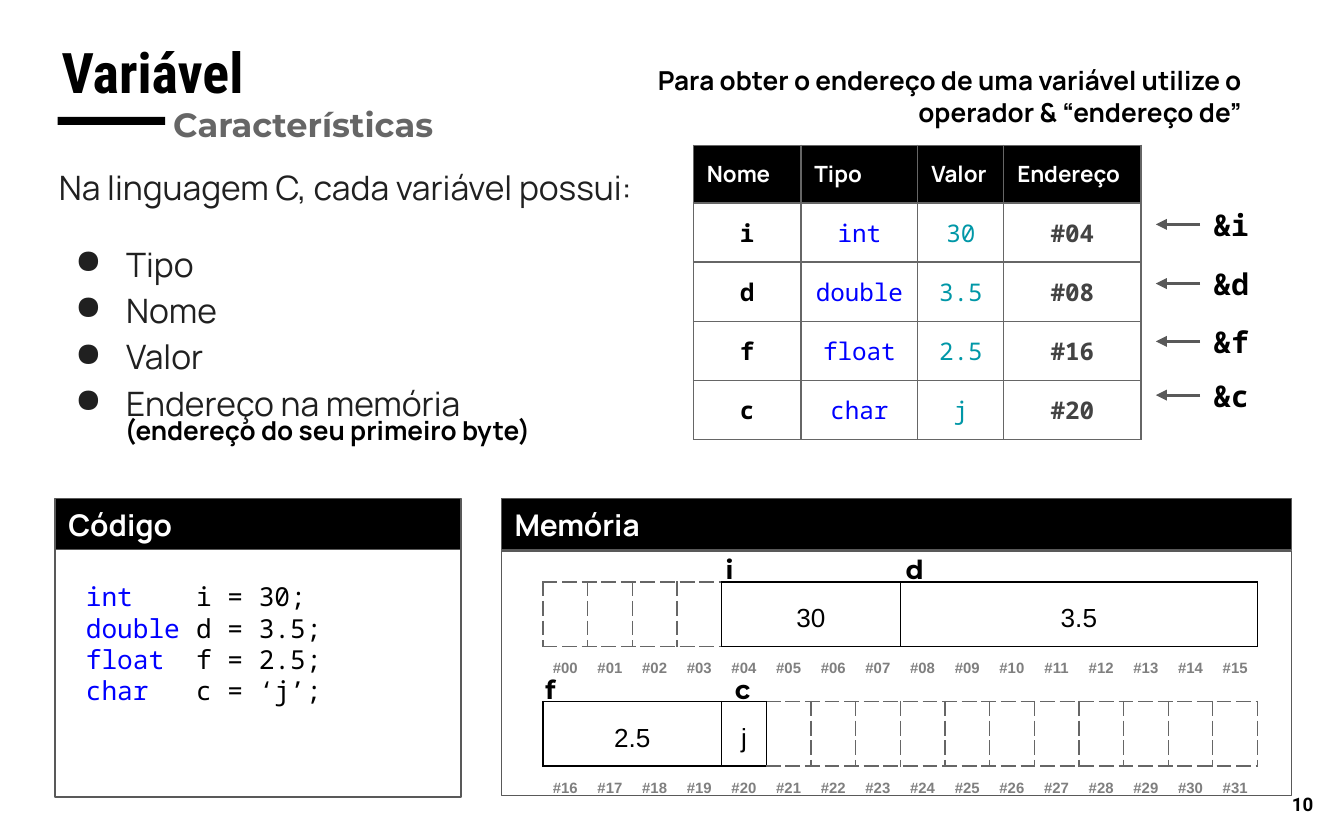
import pptx
import pptx.util
import pptx.dml.color
import pptx.enum.text
import pptx.enum.shapes
import pptx.oxml
from lxml import etree
from pptx.util import Inches, Pt

theme = {
    "black": "000000", "white": "FFFFFF", "body": "202020", "sub": "666666",
    "line": "595959", "grid": "666666", "type": "0000FF", "value": "0097A7",
    "addr": "434343", "label": "7F7F7F",
    "title": 30, "text": 18, "head": 16, "note": 14, "cell": 13, "col": 12,
    "page": 10, "tiny": 8,
    "sans": "Manrope", "mono": "Noto Sans Mono", "mark": "Montserrat",
}
NS = "http://schemas.openxmlformats.org/drawingml/2006/main"
align = pptx.enum.text.PP_ALIGN
anchor = pptx.enum.text.MSO_ANCHOR
shapes = pptx.enum.shapes
rgb = pptx.dml.color.RGBColor.from_string


def write(item, text, size, font, color="black", bold=False, side=align.LEFT,
          inset=0.1, mid=False):
    """Fill a shape or a cell with evenly styled text."""
    frame = item.text_frame
    frame.text = text
    if hasattr(item, "margin_left"):
        box = item
    else:
        box = frame
        frame.word_wrap = True
    box.margin_left = box.margin_right = Inches(inset)
    box.margin_top = box.margin_bottom = Inches(0.1)
    box.vertical_anchor = anchor.MIDDLE if mid else anchor.TOP
    for para in frame.paragraphs:
        para.alignment = side
        for run in para.runs:
            run.font.size = Pt(theme[size])
            run.font.name = theme.get(font, font)
            run.font.bold = bold
            run.font.color.rgb = rgb(theme[color])
    return frame


def border(cell, **sides):
    """Draw cell edges; each side gives a colour and a dash name."""
    props = cell.fill and cell.text_frame and cell._tc.get_or_add_tcPr()
    for side in "LRTB":
        if side in sides:
            color, dash = sides[side]
            props.append(pptx.oxml.parse_xml(
                f'<a:ln{side} xmlns:a="{NS}" w="9525"><a:solidFill>'
                f'<a:srgbClr val="{theme[color]}"/></a:solidFill>'
                f'<a:prstDash val="{dash}"/></a:ln{side}>'))


deck = pptx.Presentation()
deck.slide_width, deck.slide_height = Inches(10), Inches(6.25)
slide = deck.slides.add_slide(deck.slide_layouts[6])
parts = slide.shapes

# Bar under the title and the two panels
blocks = [
    (0.43, 0.87, 0.8, 0.06, "black", None),
    (0.41, 4.06, 3.02, 1.87, "white", ""),
    (3.73, 4.1, 5.88, 1.82, "white", ""),
    (0.41, 3.71, 3.02, 0.38, "black", "Código"),
    (3.73, 3.71, 5.88, 0.38, "black", "Memória"),
]
for x, y, w, h, fill, name in blocks:
    block = parts.add_shape(shapes.MSO_SHAPE.RECTANGLE,
                            Inches(x), Inches(y), Inches(w), Inches(h))
    block.shadow.inherit = False
    block.fill.solid()
    block.fill.fore_color.rgb = rgb(theme[fill])
    if name is None:
        block.line.fill.background()
    else:
        block.line.color.rgb = rgb(theme["line"])
        block.line.width = Pt(0.75)
    if name:
        write(block, name, "head", "sans", "white", True, mid=True)

# Bulleted list
box = parts.add_textbox(Inches(0.34), Inches(1.1), Inches(4.7), Inches(2.4))
frame = write(box, "Na linguagem C, cada variável possui:\nTipo\nNome\nValor\n"
              "Endereço na memória", "text", "sans", "body")
for row, para in enumerate(frame.paragraphs):
    para.line_spacing = 1.15
    if row == 0:
        continue
    if row == 1:
        para.space_before = Pt(16)
    props = para._p.get_or_add_pPr()
    props.set("marL", str(Inches(0.5)))
    props.set("indent", str(Inches(-0.38)))
    tint = etree.SubElement(props, f"{{{NS}}}buClr")
    etree.SubElement(tint, f"{{{NS}}}srgbClr", val=theme["body"])
    etree.SubElement(props, f"{{{NS}}}buChar", char="●")

# Single texts
texts = [
    (0.36, 0.18, 4, 0.7, "Variável", "title", "Roboto Condensed", "black",
     align.LEFT),
    (1.19, 0.63, 3.61, 0.49, "Características", "text", "mark", "sub",
     align.LEFT),
    (4.64, 0.38, 4.7, 0.48, "Para obter o endereço de uma variável utilize o "
     "operador & “endereço de”", "note", "sans", "black", align.RIGHT),
    (0.83, 2.98, 3.33, 0.38, "(endereço do seu primeiro byte)", "note", "sans",
     "black", align.LEFT),
    (9.27, 5.74, 0.6, 0.48, "10", "page", "Roboto", "black", align.RIGHT),
]
for x, y, name in [(5.3, 4.02, "i"), (6.64, 4.02, "d"),
                   (3.96, 4.91, "f"), (5.37, 4.91, "c")]:
    texts.append((x, y, 0.82, 0.38, name, "note", "mark", "black", align.LEFT))
for x, y, w, h, text, size, font, color, side in texts:
    box = parts.add_textbox(Inches(x), Inches(y), Inches(w), Inches(h))
    frame = write(box, text, size, font, color, True, side, mid=size == "page")
    if font == "mark" and size == "text":
        frame.paragraphs[0].line_spacing = 1.15

# Code, with a tab stop after the type
box = parts.add_textbox(Inches(0.54), Inches(4.22), Inches(2.01), Inches(1.19))
frame = write(box, "int\ndouble\nfloat\nchar", "note", "mono", "type")
for para, rest in zip(frame.paragraphs,
                      ["i = 30;", "d = 3.5;", "f = 2.5;", "c = ‘j’;"]):
    run = para.add_run()
    run.text = "\t" + rest
    run.font.size, run.font.name = Pt(theme["note"]), theme["mono"]
    run.font.color.rgb = rgb(theme["black"])
    tabs = etree.SubElement(para._p.get_or_add_pPr(), f"{{{NS}}}tabLst")
    etree.SubElement(tabs, f"{{{NS}}}tab", pos=str(Inches(0.82)), algn="l")

# Tables: variables, then two memory rows
specs = [
    (5.16, 1.08, [0.8, 0.87, 0.64, 1.02], [0.43] + [0.44] * 4),
    (4.04, 4.33, [5.32 / 16] * 16, [0.48, 0.32]),
    (4.04, 5.22, [5.32 / 16] * 16, [0.48, 0.31]),
]
tables = []
for x, y, cols, rows in specs:
    item = parts.add_table(len(rows), len(cols), Inches(x), Inches(y),
                           Inches(sum(cols)), Inches(sum(rows)))
    for style in item.element.iter(f"{{{NS}}}tableStyleId"):
        style.text = "{2D5ABB26-0587-4C30-8999-92F81FD0307C}"
    table = item.table
    table.first_row = table.horz_banding = False
    for col, w in zip(table.columns, cols):
        col.width = Inches(w)
    for row, h in zip(table.rows, rows):
        row.height = Inches(h)
    tables.append(table)

# Variables
grid = [
    ["Nome", "Tipo", "Valor", "Endereço"],
    ["i", "int", "30", "#04"],
    ["d", "double", "3.5", "#08"],
    ["f", "float", "2.5", "#16"],
    ["c", "char", "j", "#20"],
]
tints = ["black", "type", "value", "addr"]
for r, row in enumerate(grid):
    for c, text in enumerate(row):
        cell = tables[0].cell(r, c)
        border(cell, **dict.fromkeys("LRTB", ("grid", "solid")))
        if r == 0:
            write(cell, text, "col", "sans", "white", True)
            cell.fill.solid()
            cell.fill.fore_color.rgb = rgb(theme["black"])
        else:
            write(cell, text, "cell", "mono", tints[c], c in (0, 3),
                  align.CENTER)
            cell.fill.background()

# Memory: first byte, value and byte count of each variable
solid, dash = ("black", "solid"), ("grid", "dash")
stores = [[(4, "30", 4), (8, "3.5", 8)], [(0, "2.5", 4), (4, "j", 1)]]
for n, (table, store) in enumerate(zip(tables[1:], stores)):
    used = {c for first, _, size in store for c in range(first, first + size)}
    for c in range(16):
        top, low = table.cell(0, c), table.cell(1, c)
        edge = solid if c in used else dash
        border(top, L=solid if c - 1 in used else edge,
               R=solid if c + 1 in used else edge, T=edge, B=edge)
        border(low, T=edge)
        write(low, f"#{n * 16 + c:02d}", "tiny", "Arial", "label", True,
              align.CENTER, 0.03, n == 1)
        top.fill.background()
        low.fill.background()
    for first, text, size in store:
        cell = table.cell(0, first)
        if size > 1:
            cell.merge(table.cell(0, first + size - 1))
        write(cell, text, "note", "Arial", side=align.CENTER, inset=0.03)
        cell.vertical_anchor = anchor.BOTTOM

# Address labels with arrows
for name, y in [("&i", 1.67), ("&d", 2.11), ("&f", 2.54), ("&c", 2.94)]:
    box = parts.add_textbox(Inches(8.93), Inches(y - 0.19), Inches(0.82),
                            Inches(0.38))
    frame = write(box, name, "head", "mono", bold=True, mid=True)
    frame.margin_top = frame.margin_bottom = 0
    arrow = parts.add_connector(shapes.MSO_CONNECTOR.STRAIGHT, Inches(8.93),
                                Inches(y), Inches(8.6), Inches(y))
    arrow.line.color.rgb = rgb(theme["line"])
    arrow.line.width = Pt(1.5)
    line = arrow.line._get_or_add_ln()
    etree.SubElement(line, f"{{{NS}}}tailEnd", type="triangle")
    etree.SubElement(line.getparent(), f"{{{NS}}}effectLst")

deck.save("out.pptx")
